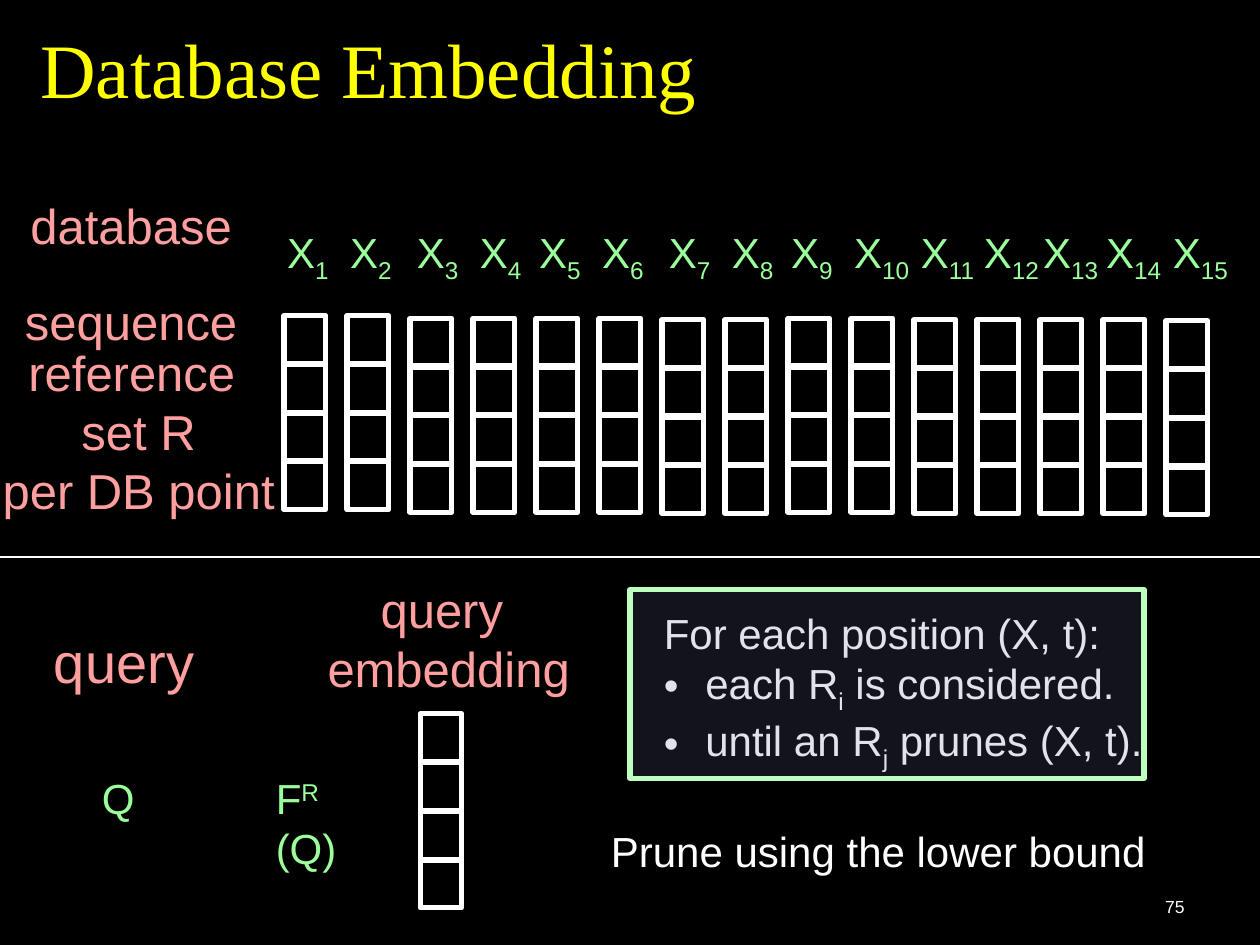
from dataclasses import dataclass
from typing import Any

from lxml import etree
from pptx import Presentation
from pptx.dml.color import RGBColor
from pptx.enum.shapes import MSO_CONNECTOR, MSO_SHAPE
from pptx.enum.text import MSO_ANCHOR, MSO_AUTO_SIZE, PP_ALIGN
from pptx.oxml.ns import qn
from pptx.util import Inches, Pt

LEFT, CENTER, RIGHT = PP_ALIGN.LEFT, PP_ALIGN.CENTER, PP_ALIGN.RIGHT
TOP, BOTTOM = MSO_ANCHOR.TOP, MSO_ANCHOR.BOTTOM
GROW, FIXED = MSO_AUTO_SIZE.SHAPE_TO_FIT_TEXT, MSO_AUTO_SIZE.NONE
RECTANGLE = MSO_SHAPE.RECTANGLE
STRAIGHT = MSO_CONNECTOR.STRAIGHT

BLACK, WHITE, YELLOW = "000000", "FFFFFF", "FFFF00"
PINK, GREEN, PALE_GREEN, SLATE = "FF9F9F", "9BFF9B", "BEFFBE", "666699"

SUBSCRIPT, SUPERSCRIPT = -25, 30
CELL_WIDTH, CELL_HEIGHT = 0.38, 0.33
CELL_COUNT = 4
CELL_PITCH = 1.16 / (CELL_COUNT - 1)
COLUMN_PITCH = 0.5
COLUMN_TOPS = [2.53] * 2 + [2.55] * 4 + [2.56] * 2 + [2.55] * 2 + [2.56] * 4 + [2.57]
BULLET_INDENT = 0.33


@dataclass(frozen=True)
class Span:
    text: str
    baseline: int = 0


@dataclass(frozen=True)
class Line:
    spans: tuple[Span, ...]
    bullet: bool = False


@dataclass(frozen=True)
class Label:
    left: float
    top: float
    width: float
    height: float
    lines: tuple[Line, ...]
    size: float = 24
    color: str = WHITE
    align: Any = LEFT
    wrap: bool = False
    anchor: Any = TOP
    fit: Any = GROW
    font: str = "Arial"


def rgb(value: str) -> RGBColor:
    return RGBColor.from_string(value)


def plain(*texts: str) -> tuple[Line, ...]:
    return tuple(Line((Span(text),)) for text in texts)


def apply(target: Any, formats: dict[str, Any]) -> None:
    for name, value in formats.items():
        setattr(target, name, value)


def add_bullet(para: Any) -> None:
    properties = para._p.get_or_add_pPr()
    indent = Inches(BULLET_INDENT)
    properties.set("marL", str(indent))
    properties.set("indent", str(-indent))
    color = etree.SubElement(properties, qn("a:buClr"))
    etree.SubElement(color, qn("a:srgbClr")).set("val", WHITE)
    etree.SubElement(properties, qn("a:buFont")).set("typeface", "Arial")
    etree.SubElement(properties, qn("a:buChar")).set("char", "•")


def add_span(para: Any, span: Span, label: Label) -> None:
    for index, text in enumerate(span.text.split("\n")):
        if index:
            para.add_line_break()
        run = para.add_run()
        run.text = text
        apply(run.font, {"size": Pt(label.size), "name": label.font})
        run.font.color.rgb = rgb(label.color)
        if span.baseline:
            run._r.get_or_add_rPr().set("baseline", str(span.baseline * 1000))


def fill_text(box: Any, label: Label) -> None:
    frame = box.text_frame
    apply(frame, {
        "word_wrap": label.wrap, "auto_size": label.fit, "vertical_anchor": label.anchor,
        "margin_left": Inches(0.1), "margin_right": Inches(0.1),
        "margin_top": Inches(0.05), "margin_bottom": Inches(0.05),
    })
    for index, line in enumerate(label.lines):
        para = frame.add_paragraph() if index else frame.paragraphs[0]
        if line.bullet:
            add_bullet(para)
        para.alignment = label.align
        for span in line.spans:
            add_span(para, span, label)


def add_label(page: Any, label: Label) -> None:
    box = page.shapes.add_textbox(
        Inches(label.left), Inches(label.top), Inches(label.width), Inches(label.height))
    fill_text(box, label)


def add_title(page: Any, label: Label) -> None:
    title = page.shapes.title
    apply(title, {name: Inches(getattr(label, name))
                  for name in ("left", "top", "width", "height")})
    fill_text(title, label)
    title.text_frame.paragraphs[0].line_spacing = 0.8


def add_rectangle(shapes: Any, left: float, top: float, width: float, height: float,
                  outline: str) -> Any:
    box = shapes.add_shape(RECTANGLE, Inches(left), Inches(top), Inches(width), Inches(height))
    box.shadow.inherit = False
    box.fill.background()
    box.line.color.rgb = rgb(outline)
    box.line.width = Pt(3)
    return box


def add_column(page: Any, left: float, top: float) -> None:
    group = page.shapes.add_group_shape()
    for row in range(CELL_COUNT):
        cell = add_rectangle(group.shapes, left, top + row * CELL_PITCH,
                             CELL_WIDTH, CELL_HEIGHT, WHITE)
        cell.rotation = 270


def add_divider(page: Any, top: float) -> None:
    divider = page.shapes.add_connector(STRAIGHT, 0, Inches(top), Inches(10), Inches(top))
    divider.line.color.rgb = rgb(WHITE)
    divider.line.width = Pt(1.5)
    etree.SubElement(divider._element.spPr, qn("a:effectLst"))


def add_panel(page: Any) -> None:
    panel = add_rectangle(page.shapes, 5, 4.68, 4.08, 1.5, PALE_GREEN)
    panel.fill.solid()
    panel.fill.fore_color.rgb = rgb(SLATE)
    color = panel._element.spPr.find(qn("a:solidFill")).find(qn("a:srgbClr"))
    etree.SubElement(color, qn("a:alpha")).set("val", "19000")


def position_label(index: int) -> Label:
    shift = 0.03 if index % 4 > 1 else 0
    number = index + 1
    width = 0.53 if number < 10 else 0.64
    spans = (Span("X"), Span(str(number), SUBSCRIPT))
    return Label(2.18 + index * COLUMN_PITCH + shift, 1.75, width, 0.56,
                 (Line(spans),), color=GREEN)


TITLE = Label(0.22, 0.17, 9.78, 0.78, plain("Database Embedding"), 44, YELLOW,
              wrap=True, anchor=BOTTOM, fit=FIXED, font="Times New Roman")
EMBEDDING = Line((Span("F"), Span("R", SUPERSCRIPT), Span(" (Q)")))
STEPS = plain("For each position (X, t):") + (
    Line((Span("each R"), Span("i", SUBSCRIPT), Span(" is considered.")), True),
    Line((Span("until an R"), Span("j", SUBSCRIPT), Span(" prunes (X, t).")), True),
)
LABELS = [
    Label(0.09, 1.5, 1.9, 1.04, plain("database \nsequence"), 28, PINK, CENTER),
    Label(0.33, 4.93, 1.31, 0.64, plain("query"), 32, PINK),
    Label(-0.08, 2.67, 2.36, 1.5, plain("reference \nset R", "per DB point"), 28, PINK, CENTER),
    Label(0.71, 6.08, 0.46, 0.5, plain("Q"), color=GREEN, wrap=True),
    Label(2.5, 4.55, 2.12, 1.04, plain("query \nembedding"), 28, PINK, CENTER),
    Label(4.75, 6.5, 4.44, 0.5, plain("Prune using the lower bound")),
    Label(2.09, 6.08, 1.11, 0.5, (EMBEDDING,), color=GREEN),
    Label(5.17, 4.77, 4.83, 1.81, STEPS, wrap=True),
    Label(7.42, 6.83, 2.08, 0.5, plain("75"), 10, align=RIGHT, wrap=True,
          anchor=BOTTOM, fit=FIXED),
]


def main() -> None:
    deck = Presentation()
    deck.slide_width, deck.slide_height = Inches(10), Inches(7.5)
    page = deck.slides.add_slide(deck.slide_layouts[5])
    page.background.fill.solid()
    page.background.fill.fore_color.rgb = rgb(BLACK)
    add_title(page, TITLE)
    for index, top in enumerate(COLUMN_TOPS):
        add_column(page, 2.23 + index * COLUMN_PITCH, top)
        add_label(page, position_label(index))
    add_column(page, 3.31, 5.69)
    add_divider(page, 4.42)
    for label in LABELS:
        add_label(page, label)
    add_panel(page)
    deck.save("out.pptx")


if __name__ == "__main__":
    main()
